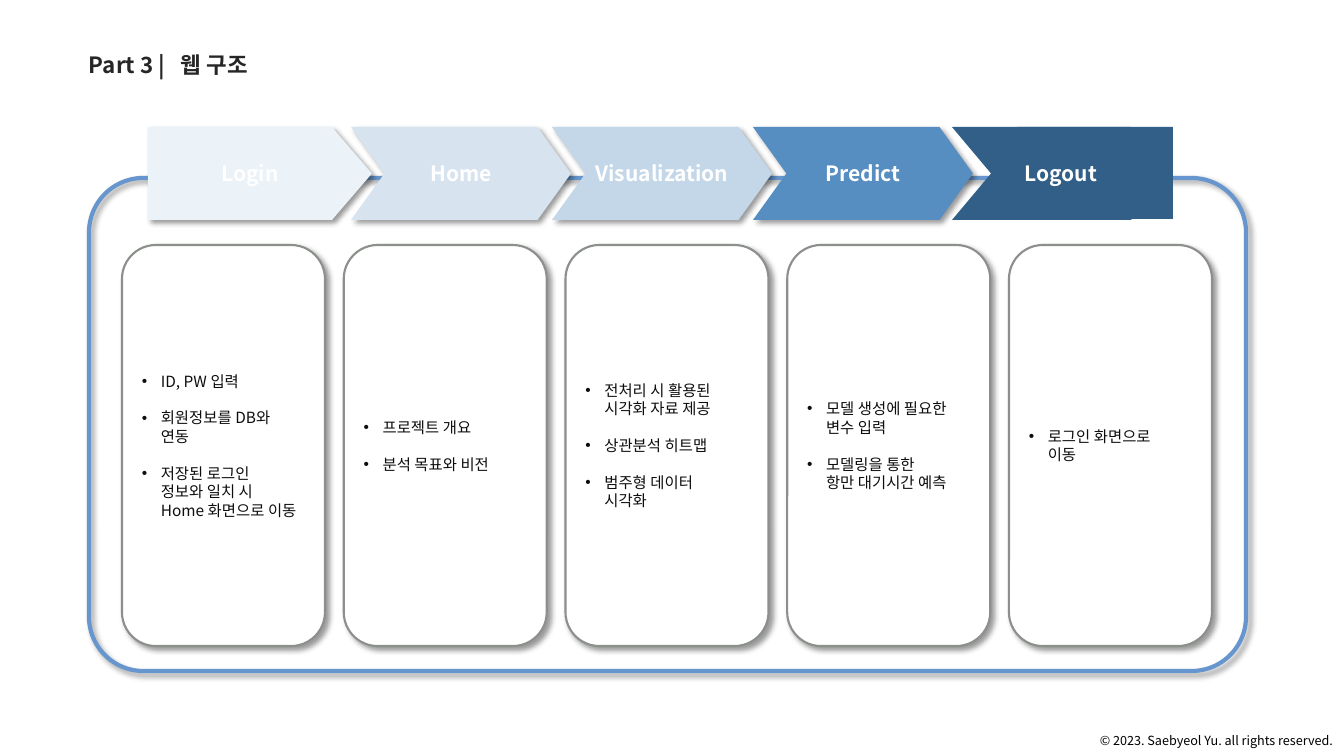
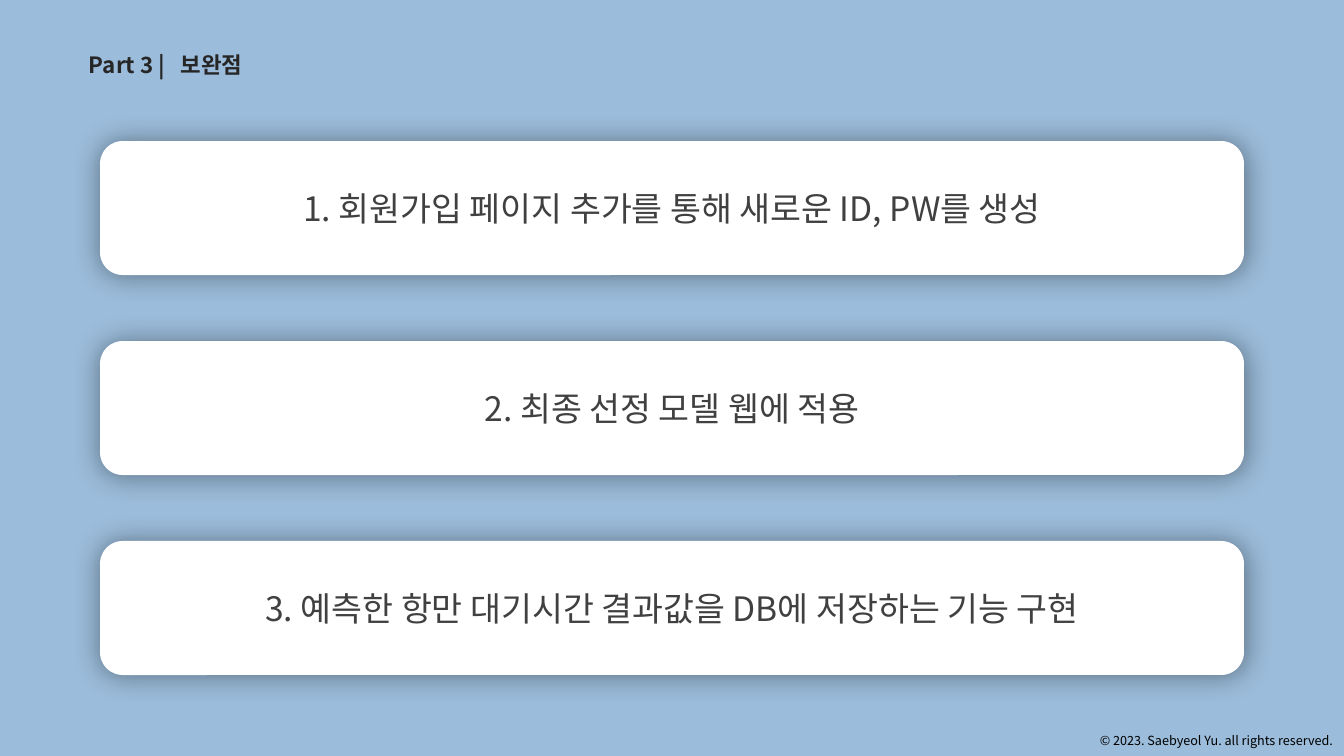
from dataclasses import dataclass

from lxml.etree import SubElement
from pptx import Presentation
from pptx.dml.color import RGBColor
from pptx.enum.shapes import MSO_SHAPE
from pptx.enum.text import MSO_ANCHOR, MSO_AUTO_SIZE, PP_ALIGN
from pptx.oxml.ns import qn
from pptx.util import Pt

SCALE = 914400 / 100.8


@dataclass(frozen=True)
class Theme:
    font: str = "Noto Sans CJK KR"
    white: str = "FFFFFF"
    black: str = "000000"
    sky: str = "9BBCDA"
    frame: str = "6696CD"
    edge: str = "8B908B"
    head: str = "262626"
    body: str = "0D0D0D"
    note: str = "404040"
    steps: tuple = ("EBF2F8", "D7E4F0", "C3D7E9", "578EC1", "325F88")
    foot_size: int = 9
    body_size: int = 11
    step_size: int = 15
    head_size: int = 16
    note_size: int = 24
    gap: int = 13


THEME = Theme()
DROP = (4, 3, 45)
GLOW = (20, 0, 45)

STEPS = (
    ("Login", ("ID, PW 입력", "회원정보를 DB와\v연동",
               "저장된 로그인\v정보와 일치 시\vHome 화면으로 이동")),
    ("Home", ("프로젝트 개요", "분석 목표와 비전")),
    ("Visualization", ("전처리 시 활용된\v시각화 자료 제공", "상관분석 히트맵",
                       "범주형 데이터\v시각화")),
    ("Predict", ("모델 생성에 필요한\v변수 입력",
                 "모델링을 통한\v항만 대기시간 예측")),
    ("Logout", ("로그인 화면으로\v이동",)),
)
NOTES = (
    "1. 회원가입 페이지 추가를 통해 새로운 ID, PW를 생성",
    "2. 최종 선정 모델 웹에 적용",
    "3. 예측한 항만 대기시간 결과값을 DB에 저장하는 기능 구현",
)


def px(num):
    return round(num * SCALE)


def rgb(code):
    return RGBColor.from_string(code)


def shade(shape, blur, dist, angle):
    """Give the shape an outer shadow; blur and distance are in points."""
    shape.shadow.inherit = False
    effects = shape.element.spPr.find(qn("a:effectLst"))
    outer = SubElement(effects, qn("a:outerShdw"), blurRad=str(Pt(blur)),
                       dist=str(Pt(dist)), dir=str(angle * 60000),
                       algn="ctr", rotWithShape="0")
    color = SubElement(outer, qn("a:srgbClr"), val=THEME.black)
    SubElement(color, qn("a:alpha"), val="40000")


def bullet(para):
    props = para._p.get_or_add_pPr()
    props.set("marL", str(px(19)))
    props.set("indent", str(-px(19)))
    SubElement(props, qn("a:buFont"), typeface="Arial")
    SubElement(props, qn("a:buChar"), char="•")


def write(frame, *lines, size, color, bold=False, align=PP_ALIGN.LEFT,
          bullets=False, wrap=True, gap=0):
    """Fill the frame with one paragraph for each line."""
    frame.word_wrap = wrap
    for i, line in enumerate(lines):
        para = frame.add_paragraph() if i else frame.paragraphs[0]
        para.text = line
        para.alignment = align
        if i and gap:
            para.space_before = Pt(gap)
        if bullets:
            bullet(para)
        for run in para.runs:
            font = run.font
            font.name, font.size, font.bold = THEME.font, Pt(size), bold
            font.color.rgb = rgb(color)
            SubElement(run._r.get_or_add_rPr(), qn("a:ea"),
                       typeface=THEME.font)
        for stop in para._p.findall(qn("a:br")):
            SubElement(stop, qn("a:rPr"), sz=str(size * 100))


def label(slide, box, text, **style):
    """Add one line of text in a box that grows with it."""
    area = slide.shapes.add_textbox(*map(px, box))
    area.text_frame.auto_size = MSO_AUTO_SIZE.SHAPE_TO_FIT_TEXT
    write(area.text_frame, text, wrap=False, **style)


def block(slide, kind, box, fill=None, line=None, width=0, adj=None,
          shadow=None):
    shape = slide.shapes.add_shape(kind, *map(px, box))
    if adj is not None:
        shape.adjustments[0] = adj
    if fill:
        shape.fill.solid()
        shape.fill.fore_color.rgb = rgb(fill)
    else:
        shape.fill.background()
    if line:
        shape.line.color.rgb = rgb(line)
        shape.line.width = Pt(width)
    else:
        shape.line.fill.background()
    if shadow:
        shade(shape, *shadow)
    else:
        shape.shadow.inherit = False
    shape.text_frame.vertical_anchor = MSO_ANCHOR.MIDDLE
    return shape


def page(deck, title, back):
    """Add a slide with its background, title and footer."""
    slide = deck.slides.add_slide(deck.slide_layouts[6])
    slide.background.fill.solid()
    slide.background.fill.fore_color.rgb = rgb(back)
    label(slide, (1090, 728, 254, 25),
          "© 2023. Saebyeol Yu. all rights reserved.",
          size=THEME.foot_size, color=THEME.black)
    for left, wide, text in ((79, 97, "Part 3 |"), (171, 91, title)):
        label(slide, (left, 46, wide, 37), text, size=THEME.head_size,
              color=THEME.head, bold=True)
    return slide


def band(slide, box):
    """Draw the row of arrows, with a square end on the last one."""
    left, top, width, height = box
    last = len(STEPS) - 1
    block(slide, MSO_SHAPE.RECTANGLE,
          (left + width - 156, top, 156, height - 1), THEME.steps[last])
    for i, (name, _) in enumerate(STEPS):
        kind, adj = (MSO_SHAPE.CHEVRON, 0.36) if i else (
            MSO_SHAPE.PENTAGON, 0.43)
        start, span = (left + 2 + 201 * i, 220) if i else (left, 224)
        if i == last:
            start, span, adj = start - 2, 218, 0.42
        arrow = block(slide, kind, (start, top, span, height), THEME.steps[i],
                      adj=adj, shadow=None if i == last else DROP)
        frame = arrow.text_frame
        frame.margin_left = frame.margin_right = 0
        write(frame, name, size=THEME.step_size, color=THEME.white,
              bold=True, align=PP_ALIGN.CENTER)


def cards(slide, box):
    left, top, width, height = box
    wide = 203
    pitch = (width - wide) / (len(STEPS) - 1)
    for i, (_, lines) in enumerate(STEPS):
        card = block(slide, MSO_SHAPE.ROUNDED_RECTANGLE,
                     (left + pitch * i, top, wide, height), THEME.white,
                     THEME.edge, 1.5, shadow=DROP)
        write(card.text_frame, *lines, size=THEME.body_size,
              color=THEME.body, bullets=True, gap=THEME.gap)


def flow(deck):
    slide = page(deck, "웹 구조", THEME.white)
    left, top, width, height = frame = (89, 178, 1157, 493)
    block(slide, MSO_SHAPE.ROUNDED_RECTANGLE, frame, line=THEME.frame,
          width=3, adj=0.11, shadow=DROP)
    band(slide, (left + 59, top - 51, width - 132, 93))
    cards(slide, (left + 33, top + 67, width - 67, height - 92))


def plans(deck):
    slide = page(deck, "보완점", THEME.sky)
    for i, text in enumerate(NOTES):
        card = block(slide, MSO_SHAPE.ROUNDED_RECTANGLE,
                     (100, 141 + 200 * i, 1144, 134), THEME.white,
                     adj=0.17, shadow=GLOW)
        write(card.text_frame, text, size=THEME.note_size, color=THEME.note,
              align=PP_ALIGN.CENTER)


def main():
    deck = Presentation()
    deck.slide_width, deck.slide_height = px(1344), px(756)
    flow(deck)
    plans(deck)
    deck.save("out.pptx")


if __name__ == "__main__":
    main()
